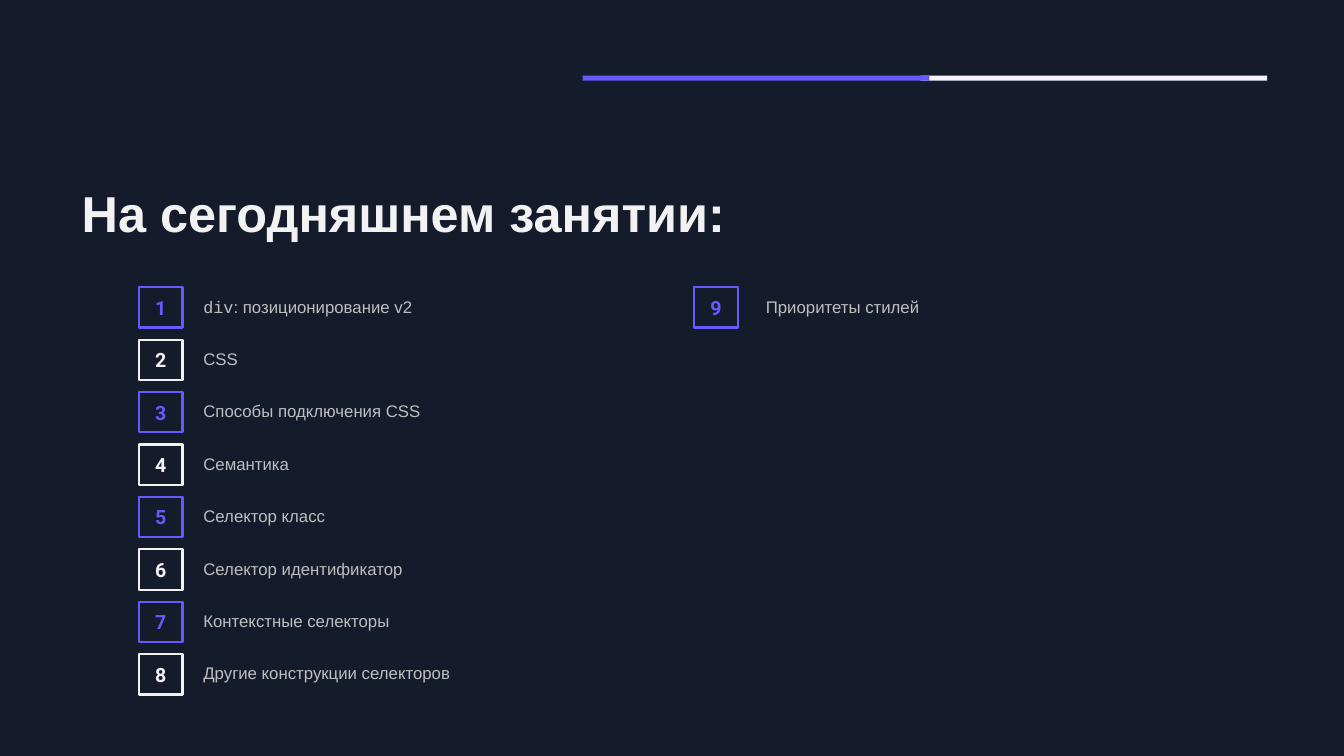
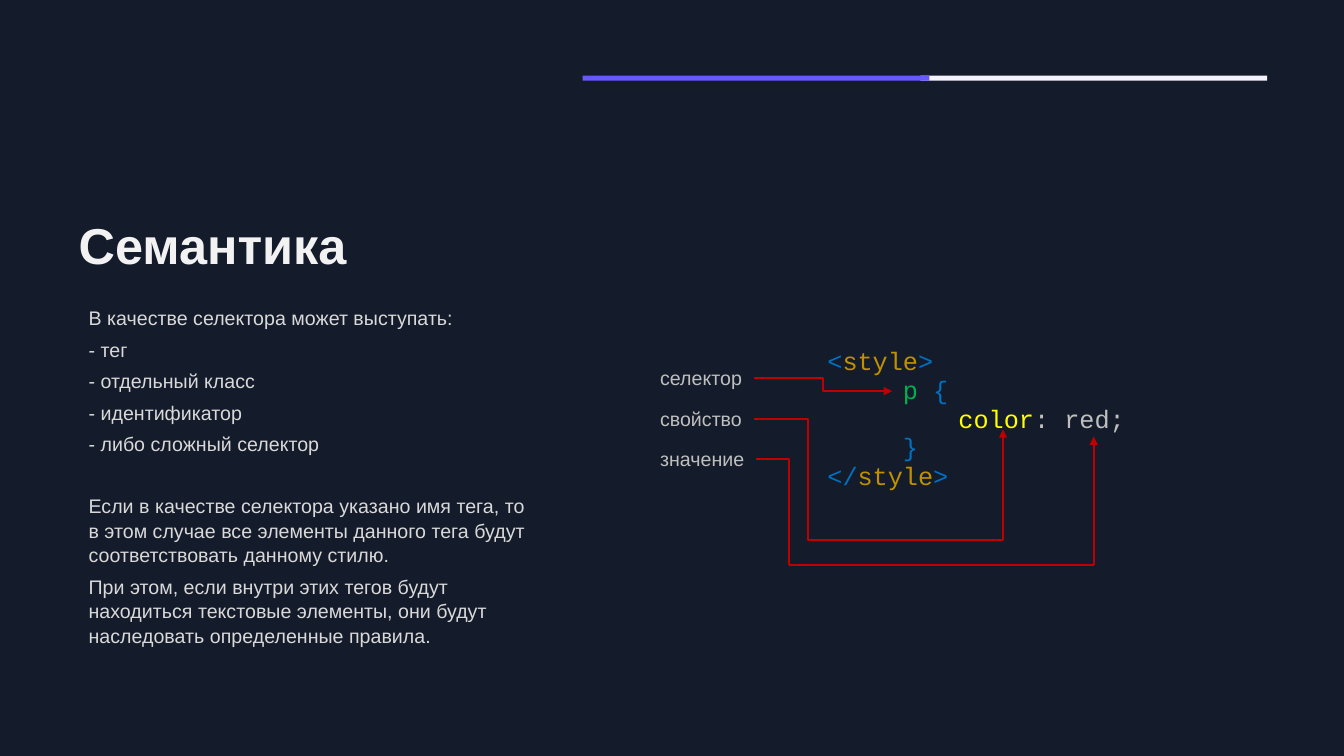
import lxml.etree
import pptx
import pptx.dml.color
import pptx.enum.shapes
import pptx.enum.text
import pptx.oxml.ns
import pptx.util

Pt = pptx.util.Pt
Anchor = pptx.enum.text.MSO_ANCHOR

BACKGROUND, VIOLET, LAVENDER, WHITE = "141B2A", "6759FE", "F4F3FF", "F2F2F2"
GREY, LIGHT_GREY, RED = "BFBFBF", "D9D9D9", "C00000"
BLUE, GOLD, GREEN, YELLOW = "0070C0", "BF9000", "00B050", "FFFF00"
SANS, MONO, DIGITS = "Arial", "Courier New", "Roboto"

BARS = [(657.4, LAVENDER), (416.2, VIOLET)]

TOPICS = [
    [("div", MONO), (": позиционирование v2", SANS)],
    [("CSS", SANS)],
    [("Способы подключения CSS", SANS)],
    [("Семантика", SANS)],
    [("Селектор класс", SANS)],
    [("Селектор идентификатор", SANS)],
    [("Контекстные селекторы", SANS)],
    [("Другие конструкции селекторов", SANS)],
    [("Приоритеты стилей", SANS)],
]
TOPIC_COLUMNS = [(99.4, 138.2), (496, 540)]
ROWS_PER_COLUMN = 8
FIRST_ROW, ROW_PITCH = 205.2, 37.44

EXPLANATION = [
    ("В качестве селектора может выступать:", 5),
    ("- тег", 5),
    ("- отдельный класс", 5),
    ("- идентификатор", 5),
    ("- либо сложный селектор", 5),
    ("Если в качестве селектора указано имя тега, то в этом случае все элементы "
     "данного тега будут соответствовать данному стилю.", 27),
    ("При этом, если внутри этих тегов будут находиться текстовые элементы, они "
     "будут наследовать определенные правила.", 5),
]
CODE = [
    (0, [("<", BLUE), ("style", GOLD), (">", BLUE)]),
    (54, [("p", GREEN), (" {", BLUE)]),
    (93.6, [("color", YELLOW), (": red;", GREY)]),
    (54, [("}", BLUE)]),
    (0, [("</", BLUE), ("style", GOLD), (">", BLUE)]),
]
LABELS = [("селектор", 257.8, 73.4), ("свойство", 287.3, 74.2), ("значение", 315.4, 75.6)]
CONNECTORS = [
    ("bentConnector3", (538.6, 270), (637.2, 279.4), True, []),
    ("bentConnector4", (538.6, 299.5), (716.4, 367.9), False, [21700, 126300]),
    ("line", (716.4, 367.9), (716.4, 306.7), True, []),
    ("bentConnector2", (540, 327.6), (563.8, 403.9), False, []),
    ("line", (563.8, 403.9), (781.2, 403.9), False, []),
    ("line", (781.2, 403.9), (781.2, 311.8), True, []),
]


def rgb(value):
    return pptx.dml.color.RGBColor.from_string(value)


def style(font, name, size, color, bold=False):
    font.name, font.size, font.bold = name, Pt(size), bold
    font.color.rgb = rgb(color)


def indent(paragraph, distance):
    properties = paragraph._p.get_or_add_pPr()
    properties.set("marL", str(Pt(distance)))
    properties.set("indent", "0")


def add_element(parent, tag, **attributes):
    lxml.etree.SubElement(parent, pptx.oxml.ns.qn(tag), attributes)


def add_rectangle(slide, left, top, width, height):
    shape = slide.shapes.add_shape(
        pptx.enum.shapes.MSO_SHAPE.RECTANGLE, Pt(left), Pt(top), Pt(width), Pt(height))
    shape.shadow.inherit = False
    return shape


def add_text(slide, left, top, width, height, wrap=True):
    frame = slide.shapes.add_textbox(Pt(left), Pt(top), Pt(width), Pt(height)).text_frame
    frame.word_wrap = wrap
    return frame


def next_paragraph(frame, index):
    return frame.add_paragraph() if index else frame.paragraphs[0]


def add_slide(presentation, heading, left, top, width, height, anchor):
    slide = presentation.slides.add_slide(presentation.slide_layouts[5])
    title = slide.shapes.title
    title.left, title.top, title.width, title.height = map(Pt, (left, top, width, height))
    title.text_frame.text = heading
    title.text_frame.vertical_anchor = anchor
    paragraph = title.text_frame.paragraphs[0]
    paragraph.alignment = pptx.enum.text.PP_ALIGN.LEFT
    paragraph.line_spacing = 0.9
    style(paragraph.font, SANS, 36, WHITE, True)
    for bar_left, color in BARS:
        bar = add_rectangle(slide, bar_left, 54, 247.7, 3.6)
        bar.fill.solid()
        bar.fill.fore_color.rgb = rgb(color)
        bar.line.fill.background()
    return slide


def add_number(slide, number, left, top):
    color = VIOLET if number % 2 else WHITE
    box = add_rectangle(slide, left, top, 31, 28.8)
    box.fill.background()
    box.line.color.rgb = rgb(color)
    box.line.width = Pt(1.5)
    frame = box.text_frame
    frame.margin_left = frame.margin_right = frame.margin_top = frame.margin_bottom = Pt(7.2)
    frame.vertical_anchor = Anchor.MIDDLE
    frame.text = str(number)
    paragraph = frame.paragraphs[0]
    paragraph.alignment = pptx.enum.text.PP_ALIGN.CENTER
    style(paragraph.font, DIGITS, 14, color, True)


def add_connector(slide, preset, start, end, arrow, adjustments):
    kinds = pptx.enum.shapes.MSO_CONNECTOR
    kind = kinds.STRAIGHT if preset == "line" else kinds.ELBOW
    connector = slide.shapes.add_connector(kind, *map(Pt, start + end))
    connector.line.color.rgb = rgb(RED)
    connector.line.width = Pt(1.5)
    properties = connector.element.spPr
    geometry = properties.find(pptx.oxml.ns.qn("a:prstGeom"))
    geometry.set("prst", preset)
    guides = geometry.find(pptx.oxml.ns.qn("a:avLst"))
    for number, value in enumerate(adjustments, 1):
        add_element(guides, "a:gd", name=f"adj{number}", fmla=f"val {value}")
    if arrow:
        outline = properties.find(pptx.oxml.ns.qn("a:ln"))
        add_element(outline, "a:tailEnd", type="triangle")
    add_element(properties, "a:effectLst")


def build_agenda(presentation):
    slide = add_slide(
        presentation, "На сегодняшнем занятии:", 51.1, 131, 612, 47.5, Anchor.MIDDLE)
    for index, runs in enumerate(TOPICS):
        column, row = divmod(index, ROWS_PER_COLUMN)
        box_left, label_left = TOPIC_COLUMNS[column]
        top = FIRST_ROW + row * ROW_PITCH
        add_number(slide, index + 1, box_left, top)
        paragraph = add_text(slide, label_left, top + 2.9, 306.7, 24.5).paragraphs[0]
        for text, font in runs:
            run = paragraph.add_run()
            run.text = text
            style(run.font, font, 12, GREY)


def build_semantics(presentation):
    slide = add_slide(presentation, "Семантика", 49, 153.4, 856, 46.8, Anchor.BOTTOM)
    explanation = add_text(slide, 49, 214.6, 334.8, 246.2)
    for index, (text, space) in enumerate(EXPLANATION):
        paragraph = next_paragraph(explanation, index)
        paragraph.text = text
        paragraph.space_before = Pt(space)
        paragraph.line_spacing = 1.04
        indent(paragraph, 7.2)
        style(paragraph.font, SANS, 14, LIGHT_GREY)

    code = add_text(slide, 583.9, 244.8, 265.7, 123.1)
    for index, (distance, runs) in enumerate(CODE):
        paragraph = next_paragraph(code, index)
        paragraph.line_spacing = 0.95
        indent(paragraph, distance)
        for text, color in runs:
            run = paragraph.add_run()
            run.text = text
            style(run.font, MONO, 18, color)

    for text, top, width in LABELS:
        label = add_text(slide, 464.4, top, width, 24.5, wrap=False)
        label.text = text
        style(label.paragraphs[0].font, SANS, 14, GREY)
    for connector in CONNECTORS:
        add_connector(slide, *connector)


def main():
    presentation = pptx.Presentation()
    presentation.slide_width, presentation.slide_height = Pt(960), Pt(540)
    background = presentation.slide_master.background.fill
    background.solid()
    background.fore_color.rgb = rgb(BACKGROUND)
    build_agenda(presentation)
    build_semantics(presentation)
    presentation.save("out.pptx")


if __name__ == "__main__":
    main()
